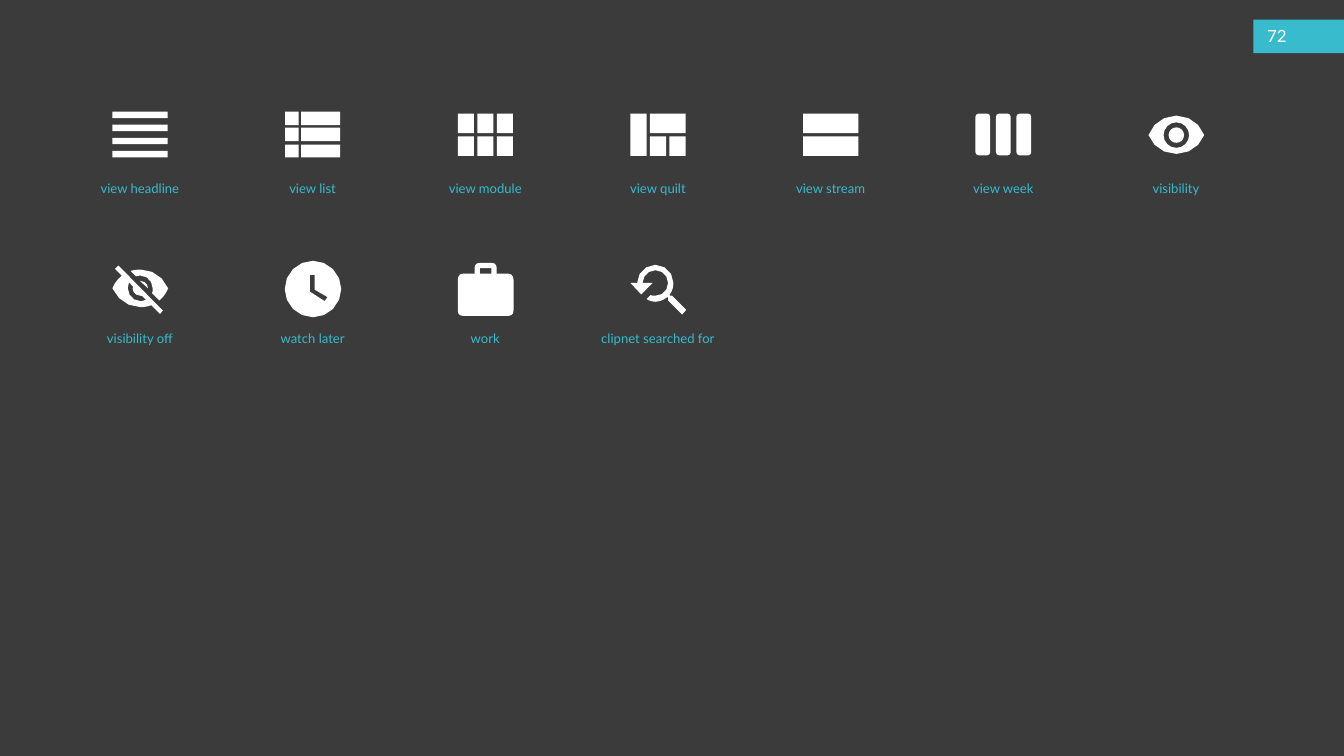
from math import cos, pi, sin

from pptx import Presentation
from pptx.dml.color import RGBColor
from pptx.enum.shapes import MSO_SHAPE
from pptx.enum.text import MSO_ANCHOR, MSO_AUTO_SIZE, PP_ALIGN
from pptx.util import Cm, Pt

DARK = RGBColor(0x3B, 0x3B, 0x3B)
TEAL = RGBColor(0x37, 0xBB, 0xCD)
WHITE = RGBColor(0xFF, 0xFF, 0xFF)
FONT = "Lato"

# Grid of icons with a label below each
COLUMNS = 7
COLUMN_STEP, ROW_STEP = Cm(39.16) // (COLUMNS - 1), Cm(5.64)
ICON_LEFT, ICON_TOP = Cm(4.25), Cm(4.22)
LABEL_LEFT, LABEL_TOP = Cm(1.76), Cm(6.71)
LABEL_WIDTH, LABEL_HEIGHT = Cm(7.06), Cm(0.86)

# Icons are drawn in units of a hundredth of an inch, kept to two decimals
PRECISION = 100
SCALE = Cm(2.54) / 100 / PRECISION
CURVE_STEPS = 3
CIRCLE_STEPS = 16


def bar(left, top, right, bottom):
    return [(left, top), (right, top), (right, bottom), (left, bottom)]


def circle(x, y, radius):
    angles = [2 * pi * step / CIRCLE_STEPS for step in range(CIRCLE_STEPS)]
    return [(x + radius * cos(angle), y + radius * sin(angle)) for angle in angles]


def outline(*parts):
    """Join points (x, y) and Bezier curves (two controls and an end)."""
    points = []
    for part in parts:
        if len(part) == 2:
            points.append(part)
            continue
        x0, y0 = points[-1]
        x1, y1, x2, y2, x3, y3 = part
        for step in range(1, CURVE_STEPS + 1):
            t = step / CURVE_STEPS
            a, b, c, d = (1 - t) ** 3, 3 * t * (1 - t) ** 2, 3 * t * t * (1 - t), t ** 3
            points.append((a * x0 + b * x1 + c * x2 + d * x3,
                           a * y0 + b * y1 + c * y2 + d * y3))
    return points


def rounded_bar(left, top, right, bottom, radius):
    """Each corner is cut by two points and a middle point on its arc."""
    inset = 0.3 * radius
    points = []
    for x, y, across, down in ((left, top, 1, 1), (right, top, -1, 1),
                               (right, bottom, -1, -1), (left, bottom, 1, -1)):
        corner = [(x, y + down * radius), (x + across * inset, y + down * inset),
                  (x + across * radius, y)]
        points += corner if across == down else corner[::-1]
    return points


def bar_grid(columns, rows):
    return [bar(left, top, right, bottom)
            for top, bottom in rows for left, right in columns]


HALVES = [(3, 32), (37, 66)]

EYE = [
    outline((0, 35), (6, 18, 22, 6, 41.5, 6), (61, 6, 77, 18, 83, 35),
            (77, 51, 61, 63, 41.5, 63), (22, 63, 6, 51, 0, 35)),
    circle(41.5, 35, 19),
    circle(41.5, 35, 11.5),
]

CROSSED_EYE = [
    outline((42, 22), (52, 22, 60, 31, 60, 41), (60, 43, 60, 46, 59, 48), (70, 59),
            (76, 54, 80, 48, 83, 41), (76, 24, 60, 13, 42, 13),
            (36, 13, 31, 14, 27, 15), (35, 23), (37, 23, 39, 22, 42, 22)),
    outline((4, 12), (14, 22), (8, 27, 3, 33, 0, 41), (7, 57, 23, 69, 42, 69),
            (47, 69, 53, 68, 58, 66), (71, 79), (75, 74), (9, 7)),
    outline((25, 32), (31, 39), (30, 41), (30, 47, 35, 52, 42, 52),
            (44, 52), (50, 58), (47, 59, 44, 60, 42, 60),
            (31, 60, 23, 51, 23, 41), (23, 38, 24, 35, 25, 32)),
    outline((41, 30), (53, 41), (53, 35, 48, 30, 42, 30)),
]

CLOCK = [
    circle(41.5, 42, 42),
    outline((59, 60), (37, 46), (37, 21), (44, 21), (44, 43), (63, 54)),
]

BRIEFCASE = [
    outline((75, 19), (58, 19), (58, 11), (58, 6, 55, 3, 50, 3), (33, 3),
            (28, 3, 25, 6, 25, 11), (25, 19), (8, 19), (3, 19, 0, 23, 0, 28),
            (0, 74), (0, 79, 3, 82, 8, 82), (75, 82), (80, 82, 83, 79, 83, 74),
            (83, 28), (83, 23, 80, 19, 75, 19)),
    bar(33, 11, 50, 19),
]

SEARCH_ARROW = [
    outline((62, 52), (59, 52), (58, 51), (62, 46, 64, 40, 64, 33),
            (64, 18, 52, 6, 37, 6), (22, 6, 10, 19, 10, 33), (0, 33), (16, 50),
            (33, 33), (18, 33), (18, 23, 27, 14, 37, 14), (48, 14, 56, 23, 56, 33),
            (56, 44, 48, 52, 37, 52), (35, 52, 32, 52, 30, 51), (24, 57),
            (27, 59, 32, 61, 37, 61), (44, 61, 50, 58, 55, 54), (56, 55), (56, 59),
            (77, 80), (83, 73)),
]

ICONS = [
    ("view headline", [bar(0, 19.5 * i, 82, 19.5 * i + 9.6) for i in range(4)]),
    ("view list", bar_grid([(0, 20), (24, 82)], [(0, 20), (24, 44), (49, 68)])),
    ("view module", bar_grid([(0, 24), (29, 53), (58, 82)], HALVES)),
    ("view quilt", [bar(0, 3, 24, 66), bar(29, 3, 82, 32),
                    *bar_grid([(29, 53), (58, 82)], HALVES[1:])]),
    ("view stream", bar_grid([(0, 82)], HALVES)),
    ("view week", [rounded_bar(30.5 * i - 0.5, 3, 30.5 * i + 21.5, 65, 4.5)
                   for i in range(3)]),
    ("visibility", EYE),
    ("visibility off", CROSSED_EYE),
    ("watch later", CLOCK),
    ("work", BRIEFCASE),
    ("clipnet searched for", SEARCH_ARROW),
]


def paint(shape, color):
    shape.shadow.inherit = False
    shape.fill.solid()
    shape.fill.fore_color.rgb = color
    shape.line.fill.background()


def add_icon(page, contours, left, top):
    builder = None
    for contour in contours:
        points = [(round(x * PRECISION), round(y * PRECISION)) for x, y in contour]
        if builder is None:
            builder = page.shapes.build_freeform(*points[0], scale=SCALE)
        else:
            builder.move_to(*points[0])
        builder.add_line_segments(points[1:], close=True)
    paint(builder.convert_to_shape(left, top), WHITE)


def add_text(page, text, left, top, width, height, size, color, align):
    box = page.shapes.add_textbox(left, top, width, height)
    frame = box.text_frame
    frame.word_wrap = True
    frame.text = text
    para = frame.paragraphs[0]
    para.alignment = align
    span = para.runs[0]
    span.font.name = FONT
    span.font.size = Pt(size)
    span.font.color.rgb = color
    return frame


def add_page_number(page):
    band = page.shapes.add_shape(MSO_SHAPE.RECTANGLE, Cm(47.38), Cm(0.74), Cm(3.42), Cm(1.27))
    paint(band, TEAL)
    frame = add_text(page, "72", Cm(47.65), Cm(0.71), Cm(1.7), Cm(1.27),
                     18, WHITE, PP_ALIGN.LEFT)
    frame.vertical_anchor = MSO_ANCHOR.MIDDLE


def main():
    deck = Presentation()
    deck.slide_width, deck.slide_height = Cm(50.8), Cm(28.58)
    page = deck.slides.add_slide(deck.slide_layouts[6])
    page.background.fill.solid()
    page.background.fill.fore_color.rgb = DARK

    add_page_number(page)

    # Icons fill the grid row by row
    for index, (name, contours) in enumerate(ICONS):
        row, column = divmod(index, COLUMNS)
        right, down = column * COLUMN_STEP, row * ROW_STEP
        add_icon(page, contours, ICON_LEFT + right, ICON_TOP + down)
        label = add_text(page, name, LABEL_LEFT + right, LABEL_TOP + down,
                         LABEL_WIDTH, LABEL_HEIGHT, 14, TEAL, PP_ALIGN.CENTER)
        label.auto_size = MSO_AUTO_SIZE.SHAPE_TO_FIT_TEXT

    deck.save("out.pptx")


if __name__ == "__main__":
    main()
